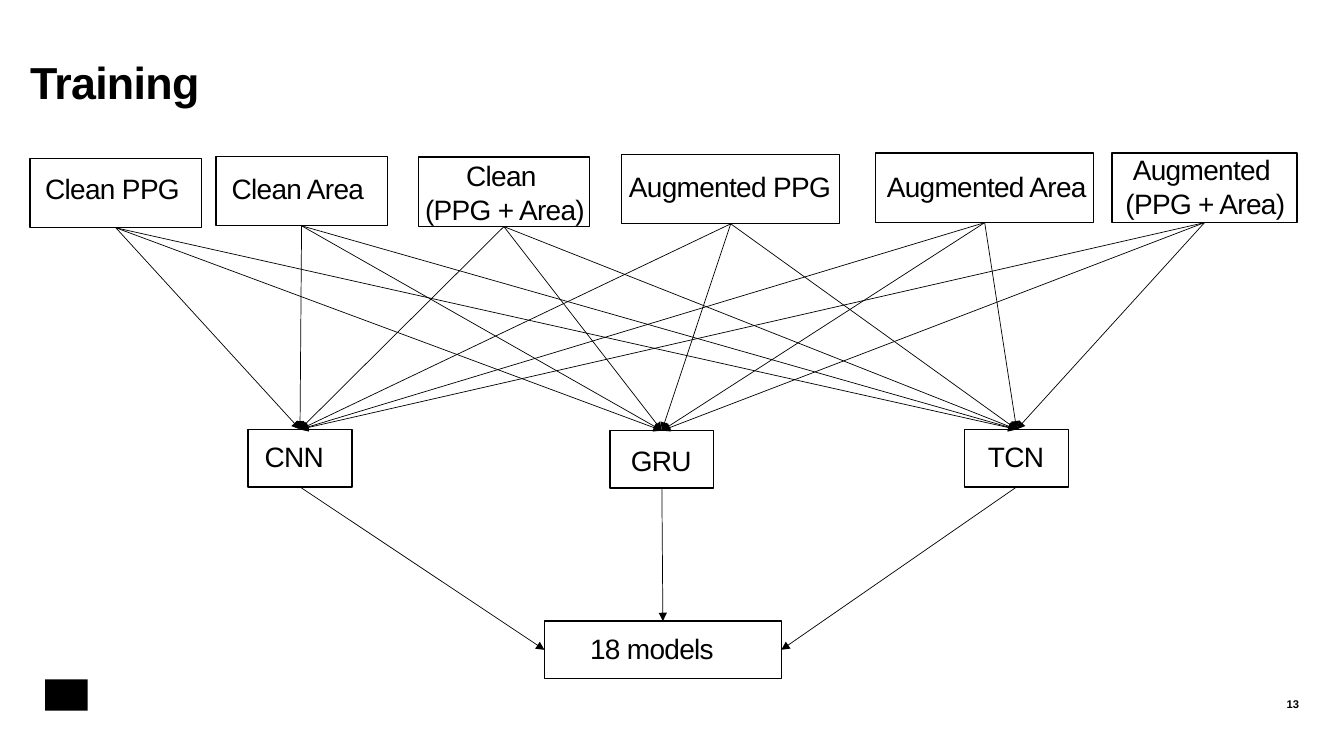
from lxml.etree import SubElement
from pptx import Presentation
from pptx.dml.color import RGBColor
from pptx.enum.shapes import MSO_CONNECTOR as CONN, MSO_SHAPE as SHAPE
from pptx.enum.text import MSO_ANCHOR as ANCHOR, PP_ALIGN as ALIGN
from pptx.oxml.ns import qn
from pptx.util import Cm, Pt

COLORS = {"ink": "000000"}
FONT = "Arial"
TITLE = "Training"
PAGE = "13"

# Lengths in cm. Each node: lines of text, box (left, top, width),
# label (left, top, width), label alignment.
DATASETS = [
    (["Clean PPG"], (0.76, 3.99, 4.32), (1.14, 4.32, 3.91), ALIGN.LEFT),
    (["Clean Area"], (5.44, 3.94, 4.32), (5.84, 4.32, 3.76), ALIGN.LEFT),
    (["Clean ", "(PPG + Area)"], (10.54, 3.96, 4.32), (10.39, 3.99, 4.67), ALIGN.CENTER),
    (["Augmented PPG"], (15.67, 3.89, 5.49), (15.85, 4.27, 5.49), ALIGN.LEFT),
    (["Augmented Area"], (22.07, 3.86, 5.49), (22.35, 4.27, 5.49), ALIGN.LEFT),
    (["Augmented ", "(PPG + Area)"], (28.02, 3.86, 4.67), (28.04, 3.84, 4.67), ALIGN.CENTER),
]
NETWORKS = [
    (["CNN"], (6.25, 10.82, 2.62), (5.08, 11.07, 4.67), ALIGN.CENTER),
    (["GRU"], (15.37, 10.85, 2.62), (14.33, 11.18, 4.67), ALIGN.CENTER),
    (["TCN"], (24.31, 10.82, 2.62), (23.27, 11.07, 4.67), ALIGN.CENTER),
]
RESULT = (["18 models"], (13.72, 15.65, 5.97), (11.07, 15.9, 10.72), ALIGN.CENTER)

DATASET_H, NETWORK_H, LINE_H = 1.75, 1.45, 0.86
TOP, LEFT, BOTTOM, RIGHT = range(4)  # connection sites of a rectangle

prs = Presentation()
prs.slide_width, prs.slide_height = Cm(33.87), Cm(19.05)
slide = prs.slides.add_slide(prs.slide_layouts[6])
shapes = slide.shapes
ink = RGBColor.from_string(COLORS["ink"])


def add_text(lines, left, top, width, height, size=20, bold=False, align=ALIGN.LEFT, spacing=-0.5):
    """Add a text box without margins; spacing is between letters, in points."""
    tf = shapes.add_textbox(Cm(left), Cm(top), Cm(width), Cm(height)).text_frame
    tf.word_wrap = True
    tf.vertical_anchor = ANCHOR.MIDDLE
    tf.margin_left = tf.margin_top = tf.margin_right = tf.margin_bottom = 0
    for i, line in enumerate(lines):
        p = tf.paragraphs[0] if i == 0 else tf.add_paragraph()
        r = p.add_run()
        r.text = line
        r._r.get_or_add_rPr().set("spc", str(round(spacing * 100)))
        p.alignment = align
        p.font.name, p.font.size, p.font.bold = FONT, Pt(size), bold
        p.font.color.rgb = ink


def add_node(node, height):
    """Add a label and its outlined box; return the box."""
    lines, (left, top, width), label, align = node
    add_text(lines, *label, LINE_H * len(lines), align=align)
    sp = shapes.add_shape(SHAPE.RECTANGLE, Cm(left), Cm(top), Cm(width), Cm(height))
    sp.shadow.inherit = False
    sp.fill.background()
    sp.line.color.rgb, sp.line.width = ink, Pt(1)
    return sp


def add_arrow(source, target, end_site):
    """Join the bottom of source to a site of target."""
    c = shapes.add_connector(CONN.STRAIGHT, 0, 0, 0, 0)
    c.begin_connect(source, BOTTOM)
    c.end_connect(target, end_site)
    c.line.color.rgb, c.line.width = ink, Pt(0.5)
    SubElement(c.line._get_or_add_ln(), qn("a:tailEnd"), type="triangle")
    SubElement(c._element.spPr, qn("a:effectLst"))


logo = shapes.add_shape(SHAPE.RECTANGLE, Cm(1.14), Cm(17.12), Cm(1.07), Cm(0.79))
logo.shadow.inherit = False
logo.fill.solid()
logo.fill.fore_color.rgb = ink
logo.line.fill.background()

add_text([PAGE], 31.55, 17.53, 1.19, 0.41, size=8, bold=True, align=ALIGN.RIGHT, spacing=0)
add_text([TITLE], 0.76, 1.37, 31.6, 1.37, size=32, bold=True)

datasets = [add_node(node, DATASET_H) for node in DATASETS]
networks = [add_node(node, NETWORK_H) for node in NETWORKS]
result = add_node(RESULT, NETWORK_H)

for network, result_site in zip(networks, (LEFT, TOP, RIGHT)):
    for dataset in datasets:
        add_arrow(dataset, network, TOP)
    add_arrow(network, result, result_site)

prs.save("out.pptx")
